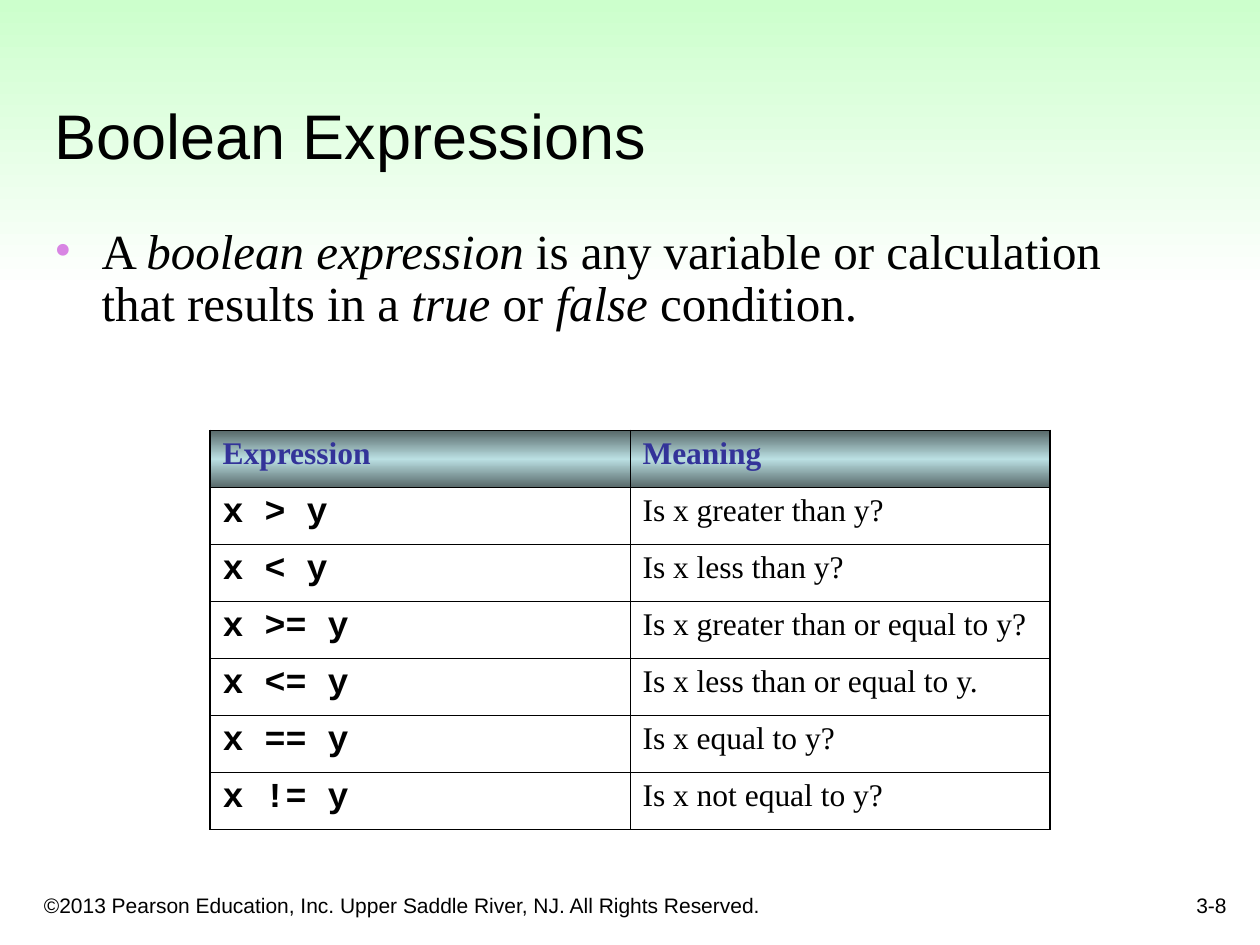
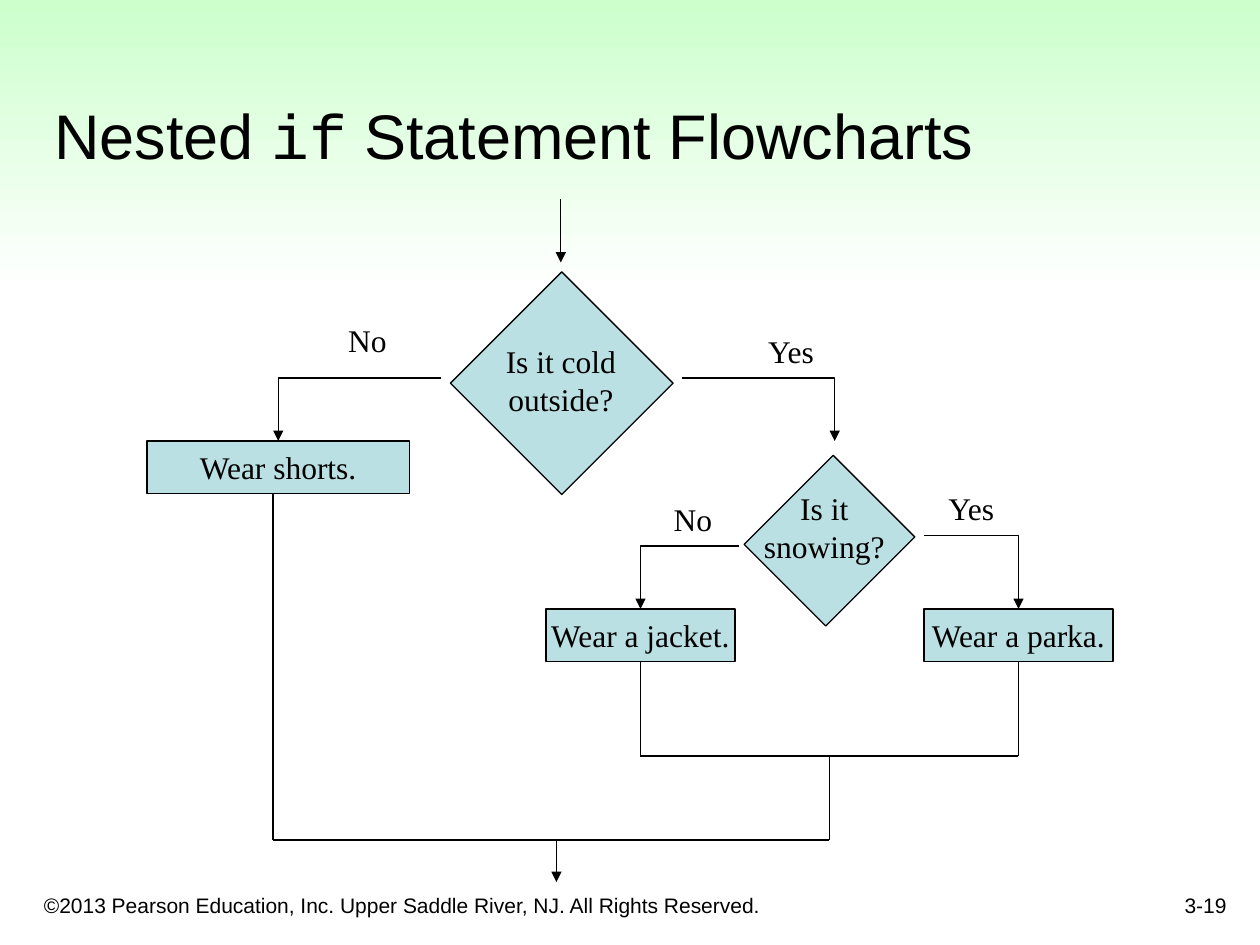
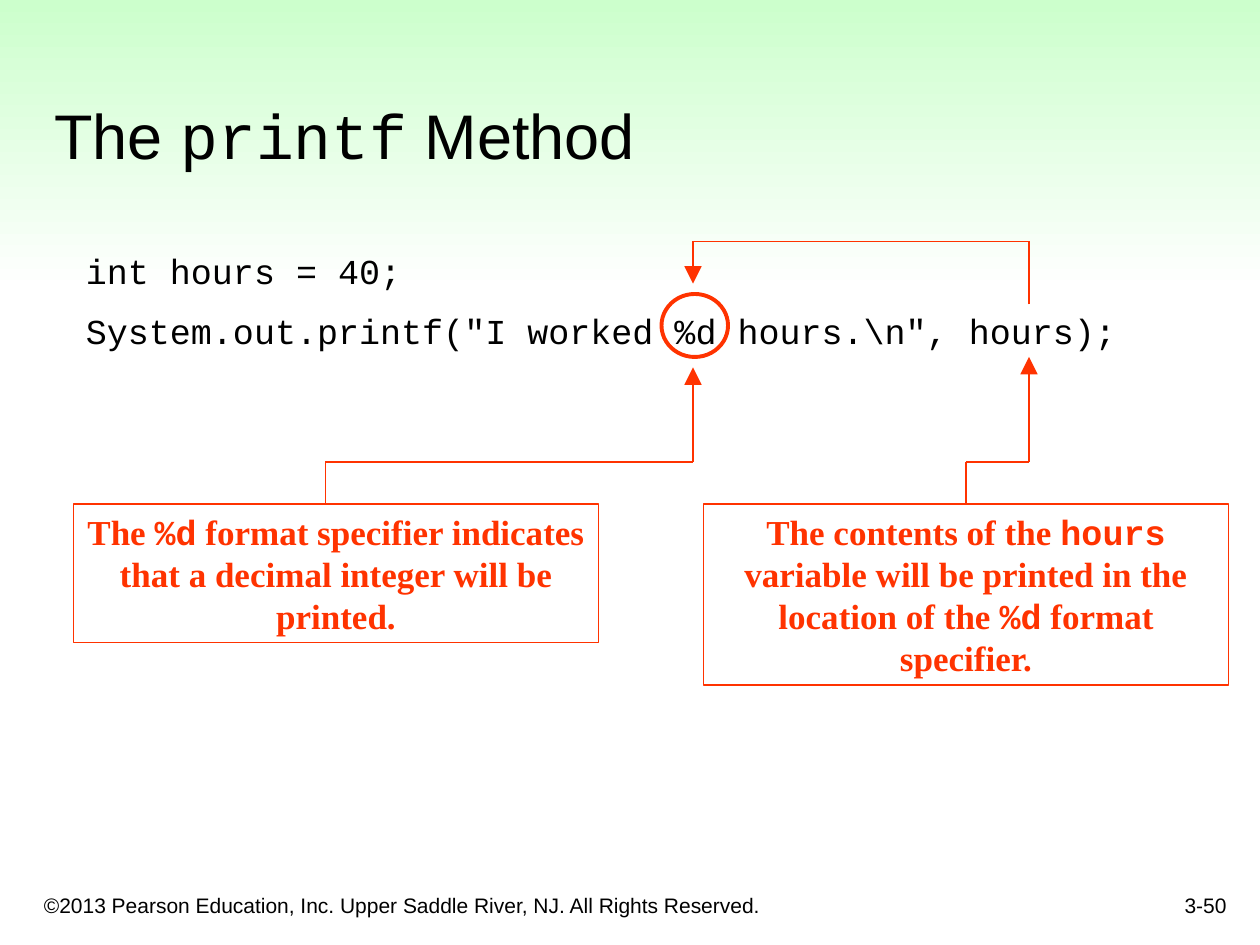
from pptx import Presentation
from pptx import util as u
from pptx.dml.color import RGBColor
from pptx.enum import shapes, text
from pptx.oxml import parse_xml
from pptx.oxml.ns import nsdecls, qn
from lxml import etree

Pt = u.Pt
BLACK, RED, TEAL, NAVY = "000000", "FF3300", "BBE0E3", "333399"
MINT, WHITE, SLATE, ORCHID = "CCFFCC", "FFFFFF", "576869", "D885E3"
SANS, SERIF, MONO = "Arial", "Times New Roman", "Courier New"
COPYRIGHT = "©2013 Pearson Education, Inc. Upper Saddle River, NJ. All Rights Reserved."
CENTER, RIGHT = text.PP_ALIGN.CENTER, text.PP_ALIGN.RIGHT
TITLE_BOX = (24, 24, 678, 78)
LINE_WIDTH = 0.75
MEDIUM_HEAD, LARGE_HEAD = "med", "lg"


def rgb(value):
    return RGBColor.from_string(value)


def points(values):
    return [Pt(value) for value in values]


def write(paragraph, marked, size, font=SERIF, color=BLACK, bold=False, align=None,
          accent_font=MONO, accent_italic=False):
    """Write text whose parts between backticks take the accent format."""
    paragraph.alignment = align
    for index, part in enumerate(marked.split("`")):
        accented = index % 2 == 1
        run = paragraph.add_run()
        run.text = part
        run.font.size = Pt(size)
        run.font.name = accent_font if accented else font
        run.font.italic = accented and accent_italic
        run.font.bold = bold
        run.font.color.rgb = rgb(color)


def write_lines(frame, lines, *args, gap=0, **style):
    for index, line in enumerate(lines):
        paragraph = frame.add_paragraph() if index else frame.paragraphs[0]
        if index:
            paragraph.space_before = Pt(gap)
        write(paragraph, line, *args, **style)


def add_text(slide, box, lines, size, wrap=True, anchor=text.MSO_ANCHOR.TOP, **style):
    frame = slide.shapes.add_textbox(*points(box)).text_frame
    frame.word_wrap = wrap
    if not wrap:
        frame.auto_size = text.MSO_AUTO_SIZE.SHAPE_TO_FIT_TEXT
    frame.vertical_anchor = anchor
    write_lines(frame, lines, size, **style)
    return frame


def add_gradient(properties, colors):
    """Append a top-to-bottom gradient with evenly spaced colours."""
    step = 100000 // (len(colors) - 1)
    stops = "".join(f'<a:gs pos="{index * step}"><a:srgbClr val="{color}"/></a:gs>'
                    for index, color in enumerate(colors))
    properties.append(parse_xml(
        f'<a:gradFill {nsdecls("a")}><a:gsLst>{stops}</a:gsLst>'
        '<a:lin ang="5400000" scaled="0"/></a:gradFill>'))


def add_shape(slide, kind, box, fill=None, line=BLACK, width=LINE_WIDTH):
    shape = slide.shapes.add_shape(kind, *points(box))
    shape.shadow.inherit = False
    if fill:
        shape.fill.solid()
        shape.fill.fore_color.rgb = rgb(fill)
    else:
        shape.fill.background()
    shape.line.color.rgb = rgb(line)
    shape.line.width = Pt(width)
    return shape


def add_line(slide, start, end, color=BLACK, head=None,
             kind=shapes.MSO_CONNECTOR.STRAIGHT):
    connector = slide.shapes.add_connector(kind, *points(start + end))
    connector.line.color.rgb = rgb(color)
    connector.line.width = Pt(LINE_WIDTH)
    properties = connector._element.spPr
    if head:
        etree.SubElement(properties.find(qn("a:ln")), qn("a:tailEnd"),
                         {"type": "triangle", "w": head, "len": head})
    etree.SubElement(properties, qn("a:effectLst"))
    return connector


def add_elbow(slide, start, end):
    """Draw an arrow that runs sideways first and then down."""
    connector = add_line(slide, start, end, head=MEDIUM_HEAD,
                         kind=shapes.MSO_CONNECTOR.ELBOW)
    properties = connector._element.spPr
    properties.find(qn("a:prstGeom")).set("prst", "bentConnector2")
    if end[0] < start[0]:
        frame = properties.find(qn("a:xfrm"))
        frame.attrib.pop("flipH")
        frame.set("rot", "10800000")
        frame.set("flipV", "1")


def add_route(slide, corners, color=BLACK, head=None):
    """Join the corners with straight lines; an arrowhead goes on the last."""
    last = len(corners) - 2
    for index, (start, end) in enumerate(zip(corners, corners[1:])):
        add_line(slide, start, end, color, head if index == last else None)


def add_base_slide(presentation, title, number):
    slide = presentation.slides.add_slide(presentation.slide_layouts[6])
    band = slide.shapes.add_shape(shapes.MSO_SHAPE.RECTANGLE, *points((0, 0, 720, 167)))
    add_gradient(band._element.spPr, (MINT, WHITE))
    band.line.fill.background()
    band.shadow.inherit = False
    bottom = text.MSO_ANCHOR.BOTTOM
    add_text(slide, (18, 498, 438, 30), [COPYRIGHT], 12, font=SANS, anchor=bottom)
    add_text(slide, (558, 492, 150, 36), [number], 12, font=SANS, anchor=bottom, align=RIGHT)
    add_text(slide, TITLE_BOX, [title], 36, font=SANS, anchor=bottom)
    return slide


def add_definition(slide, box, definition):
    frame = add_text(slide, box, [definition], 28, accent_font=SERIF, accent_italic=True)
    frame.margin_right = 0
    paragraph = frame.paragraphs[0]
    paragraph.line_spacing = 0.9
    properties = paragraph._p.get_or_add_pPr()
    properties.set("marL", str(Pt(27)))
    properties.set("indent", str(-Pt(27)))
    bullet_color = etree.SubElement(properties, qn("a:buClr"))
    etree.SubElement(bullet_color, qn("a:srgbClr")).set("val", ORCHID)
    etree.SubElement(properties, qn("a:buFont")).set("typeface", SERIF)
    etree.SubElement(properties, qn("a:buChar")).set("char", "•")


def add_borders(cell, widths):
    properties = cell._tc.get_or_add_tcPr()
    for side, width in zip("LRTB", widths):
        properties.append(parse_xml(
            f'<a:ln{side} {nsdecls("a")} w="{Pt(width)}"><a:solidFill>'
            f'<a:srgbClr val="{BLACK}"/></a:solidFill></a:ln{side}>'))


def add_expression_table(slide, box, rows):
    left, top, width, height = box
    columns = len(rows[0])
    table = slide.shapes.add_table(len(rows), columns, *points(box)).table
    table.first_row = table.horz_banding = False
    for column in table.columns:
        column.width = Pt(width / columns)
    for r, values in enumerate(rows):
        table.rows[r].height = Pt(height / len(rows))
        for c, value in enumerate(values):
            cell = table.cell(r, c)
            outer = (c == 0, c == columns - 1, r == 0, r == len(rows) - 1)
            add_borders(cell, [1.08 if edge else 0.45 for edge in outer])
            paragraph = cell.text_frame.paragraphs[0]
            if r == 0:
                add_gradient(cell._tc.tcPr, (SLATE, TEAL, SLATE))
                write(paragraph, value, 18, color=NAVY, bold=True)
                continue
            cell.fill.background()
            if c == 0:
                write(paragraph, value, 20, font=MONO, bold=True)
            else:
                write(paragraph, value, 18)


def add_flowchart(slide, box):
    left, top = box[:2]

    def at(x, y, *size):
        return (left + x, top + y, *size)

    rectangle = shapes.MSO_SHAPE.RECTANGLE
    for place in ((192, 60, 90, 90), (357, 159, 66, 72)):
        add_shape(slide, rectangle, at(*place), TEAL).rotation = 45
    for place, question in (((191.5, 78, 90, 50), ["Is it cold", "outside?"]),
                            ((342, 162, 90, 50), ["Is it", "snowing?"])):
        add_text(slide, at(*place), question, 18, wrap=False, align=CENTER)

    for place, action in (((0, 138, 150, 30), "Wear shorts."),
                          ((228, 234, 108, 30), "Wear a jacket."),
                          ((444, 234, 108, 30), "Wear a parka.")):
        frame = add_shape(slide, rectangle, at(*place), TEAL).text_frame
        frame.word_wrap = False
        frame.vertical_anchor = text.MSO_ANCHOR.MIDDLE
        write_lines(frame, [action], 18, align=CENTER)

    for x, y, answer in ((104, 66, "No"), (346, 72, "Yes"),
                         (290, 168, "No"), (449, 162, "Yes")):
        add_text(slide, at(x, y, 44, 29), [answer], 18, wrap=False, align=CENTER)

    for start, end in (((168, 102), (75, 138)), ((306, 102), (393, 138)),
                       ((338.5, 198), (282, 234)), ((444, 192), (498, 234))):
        add_elbow(slide, at(*start), at(*end))
    add_route(slide, [at(236.5, 0), at(236.5, 36)], head=MEDIUM_HEAD)
    add_route(slide, [at(282, 264), at(282, 318), at(498, 318), at(498, 264)])
    add_route(slide, [at(72, 168), at(72, 366), at(390, 366), at(390, 318)])
    add_route(slide, [at(234, 366), at(234, 390)], head=MEDIUM_HEAD)


def add_callout(slide, box, note):
    shape = add_shape(slide, shapes.MSO_SHAPE.RECTANGLE, box, line=RED)
    frame = shape.text_frame
    frame.word_wrap = True
    frame.vertical_anchor = text.MSO_ANCHOR.TOP
    write_lines(frame, [note], 20, color=RED, bold=True, align=CENTER)


def add_annotated_code(slide, box, code, notes):
    left, top = box[:2]
    specifier, argument = left + 354, left + 546
    loop, bend, notes_top = top - 1, top + 125, top + 149
    add_text(slide, box, code, 20, font=MONO, gap=10)
    add_shape(slide, shapes.MSO_SHAPE.OVAL, (left + 336, top + 29, 38, 36),
              line=RED, width=2.25)
    add_route(slide, [(argument, top + 35), (argument, loop),
                      (specifier, loop), (specifier, top + 23)], RED, LARGE_HEAD)
    for offset, note_height, note, stem, target, tip in (
            (0, 79, notes[0], 144, specifier, top + 71),
            (360, 103.5, notes[1], 510, argument, top + 65)):
        add_callout(slide, (left + offset, notes_top, 300, note_height), note)
        add_route(slide, [(left + stem, notes_top), (left + stem, bend),
                          (target, bend), (target, tip)], RED, LARGE_HEAD)


def main():
    presentation = Presentation()
    presentation.slide_width, presentation.slide_height = Pt(720), Pt(540)

    slide = add_base_slide(presentation, "Boolean Expressions", "3-8")
    add_definition(slide, (24, 126, 653, 96),
                   "A `boolean expression` is any variable or calculation "
                   "that results in a `true` or `false` condition.")
    add_expression_table(slide, (120, 246, 480, 228), [
        ("Expression", "Meaning"),
        ("x > y", "Is x greater than y?"),
        ("x < y", "Is x less than y?"),
        ("x >= y", "Is x greater than or equal to y?"),
        ("x <= y", "Is x less than or equal to y."),
        ("x == y", "Is x equal to y?"),
        ("x != y", "Is x not equal to y?"),
    ])

    slide = add_base_slide(presentation, "Nested `if` Statement Flowcharts", "3-19")
    add_flowchart(slide, (84, 114, 552, 390))

    slide = add_base_slide(presentation, "The `printf` Method", "3-50")
    add_annotated_code(
        slide, (42, 139, 654, 65.5),
        ["int hours = 40;", 'System.out.printf("I worked %d hours.\\n", hours);'],
        ["The `%d` format specifier indicates that a decimal integer will be printed.",
         "The contents of the `hours` variable will be printed in the location "
         "of the `%d` format specifier."])

    presentation.save("out.pptx")


if __name__ == "__main__":
    main()
